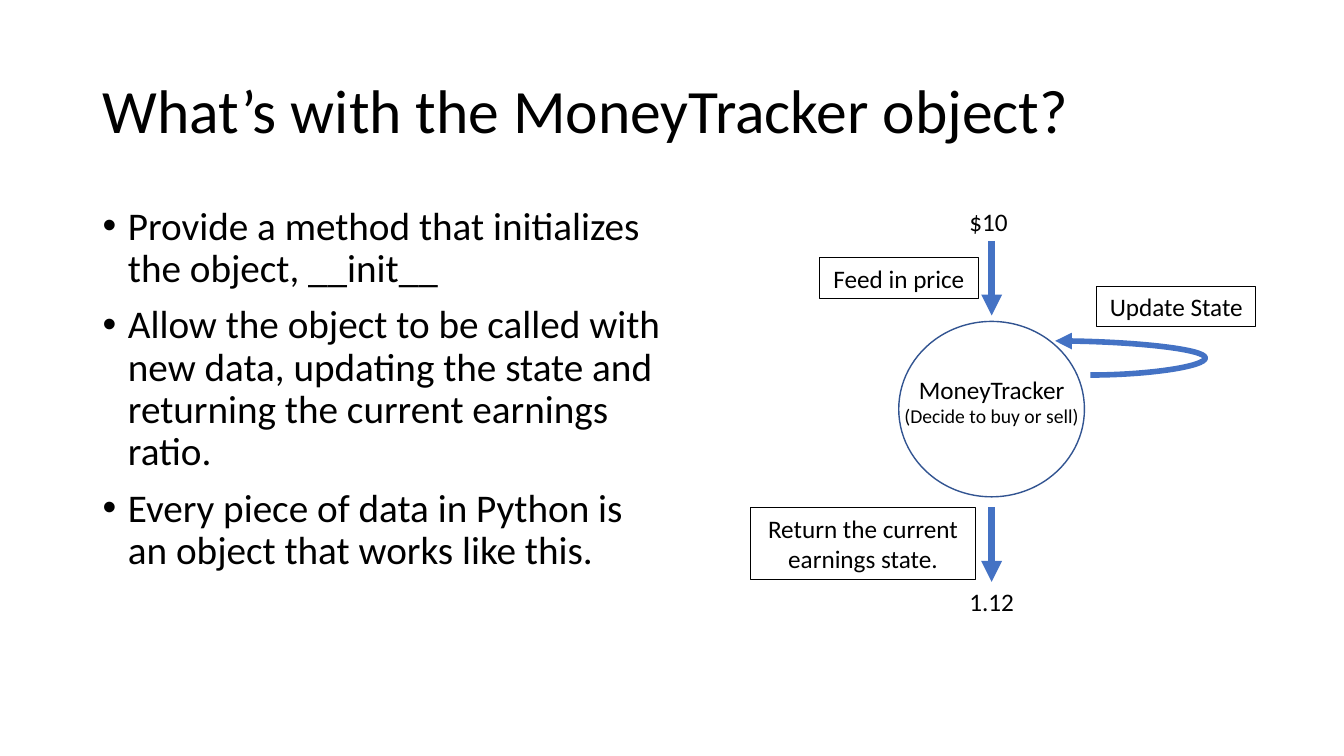
from lxml.etree import SubElement
from pptx import Presentation
from pptx.dml.color import RGBColor
from pptx.enum.shapes import MSO_CONNECTOR, MSO_SHAPE
from pptx.enum.text import MSO_ANCHOR, MSO_AUTO_SIZE, PP_ALIGN
from pptx.oxml.ns import qn
from pptx.util import Cm, Pt

BLACK = RGBColor(0x00, 0x00, 0x00)
WHITE = RGBColor(0xFF, 0xFF, 0xFF)
BLUE = RGBColor(0x44, 0x72, 0xC4)
NAVY = RGBColor(0x32, 0x54, 0x91)

BULLETS = [
    "Provide a method that initializes the object, __init__",
    "Allow the object to be called with new data, updating the state and "
    "returning the current earnings ratio.",
    "Every piece of data in Python is an object that works like this.",
]


def set_all(obj, values):
    """Set every attribute named in a dict of values."""
    for name, value in values.items():
        setattr(obj, name, value)


def place(sp, box):
    """Move a shape to a box given in centimetres."""
    set_all(sp, dict(zip(("left", "top", "width", "height"), map(Cm, box))))


def write(p, text, size, **paragraph):
    """Write one formatted run into a paragraph."""
    set_all(p, paragraph)
    r = p.add_run()
    r.text = text
    set_all(r.font, {"name": "Calibri", "size": Pt(size)})
    r.font.color.rgb = BLACK


def add_label(s, box, lines, align=PP_ALIGN.CENTER, framed=False):
    """Add a text box holding (text, size) lines, with an optional frame."""
    sp = s.shapes.add_textbox(*map(Cm, box))
    tf = sp.text_frame
    set_all(tf, {"word_wrap": True, "auto_size": MSO_AUTO_SIZE.SHAPE_TO_FIT_TEXT})
    for i, (text, size) in enumerate(lines):
        p = tf.add_paragraph() if i else tf.paragraphs[0]
        write(p, text, size, alignment=align)
    if framed:
        sp.line.color.rgb = BLACK
        sp.line.width = Pt(0.75)


def add_arrow(s, kind, ends, width):
    """Add a blue connector with a triangle at its end."""
    c = s.shapes.add_connector(kind, *map(Cm, ends))
    c.line.color.rgb = BLUE
    c.line.width = Pt(width)
    props = c.element.spPr
    SubElement(props.find(qn("a:ln")), qn("a:tailEnd"), type="triangle")
    SubElement(props, qn("a:effectLst"))
    return c


def add_loop(s, ends):
    """Add a curved arrow that bulges right and comes back."""
    props = add_arrow(s, MSO_CONNECTOR.CURVE, ends, 4).element.spPr
    props.find(qn("a:xfrm")).set("rot", "10800000")
    guides = props.find(qn("a:prstGeom")).find(qn("a:avLst"))
    SubElement(guides, qn("a:gd"), name="adj1", fmla="val -325200")


def add_title(s, box):
    """Fill the title placeholder."""
    sp = s.shapes.title
    place(sp, box)
    tf = sp.text_frame
    set_all(tf, {"vertical_anchor": MSO_ANCHOR.MIDDLE, "word_wrap": True,
                 "auto_size": MSO_AUTO_SIZE.NONE})
    write(tf.paragraphs[0], "What’s with the MoneyTracker object?", 44,
          alignment=PP_ALIGN.LEFT, line_spacing=0.9)


def add_bullets(s, box):
    """Fill the body placeholder with the bullet list."""
    sp = s.placeholders[1]
    place(sp, box)
    tf = sp.text_frame
    tf.auto_size = MSO_AUTO_SIZE.NONE
    for i, text in enumerate(BULLETS):
        p = tf.add_paragraph() if i else tf.paragraphs[0]
        write(p, text, 28, line_spacing=0.9, space_before=Pt(10))
        pPr = p._p.get_or_add_pPr()
        pPr.set("marL", str(Cm(0.64)))
        pPr.set("indent", str(-Cm(0.64)))
        SubElement(pPr, qn("a:buFont"), typeface="Arial")
        SubElement(pPr, qn("a:buChar"), char="•")


def add_diagram(s, box):
    """Draw the tracker with its input, output and state loop."""
    x, y, w, h = box
    axis = x + 6.07
    circle = s.shapes.add_shape(
        MSO_SHAPE.OVAL, *map(Cm, (axis - 2.34, y + 3.02, 4.68, 4.42)))
    circle.shadow.inherit = False
    circle.fill.solid()
    circle.fill.fore_color.rgb = WHITE
    circle.line.color.rgb = NAVY
    circle.line.width = Pt(1)
    add_label(s, (axis - 2.49, y + 4.22, 4.98, 1.63),
              [("MoneyTracker", 18), ("(Decide to buy or sell)", 14)])
    for top in (0.99, 7.7):
        add_arrow(s, MSO_CONNECTOR.STRAIGHT,
                  (axis, y + top, axis, y + top + 1.88), 5)
    for text, top in (("$10", 0), ("1.12", h - 1.02)):
        add_label(s, (axis - 0.81, y + top, 1.65, 1.02), [(text, 18)],
                  PP_ALIGN.LEFT)
    add_loop(s, (x + 7.67, y + 3.51, x + 8.56, y + 4.37))
    for text, left, top, width, height in (
            ("Feed in price", 1.73, 1.42, 4.01, 1.02),
            ("Return the current earnings state.", 0, 7.72, 5.66, 1.8),
            ("Update State", w - 4.01, 2.13, 4.01, 1.02)):
        add_label(s, (x + left, y + top, width, height), [(text, 18)],
                  framed=True)


def main():
    """Build the slide and save it."""
    prs = Presentation()
    set_all(prs, {"slide_width": Cm(33.87), "slide_height": Cm(19.05)})
    s = prs.slides.add_slide(prs.slide_layouts[1])
    add_title(s, (2.33, 1.01, 29.21, 3.68))
    add_bullets(s, (2.33, 5.07, 14.81, 12.09))
    add_diagram(s, (18.92, 5.08, 12.73, 10.6))
    prs.save("out.pptx")


if __name__ == "__main__":
    main()
